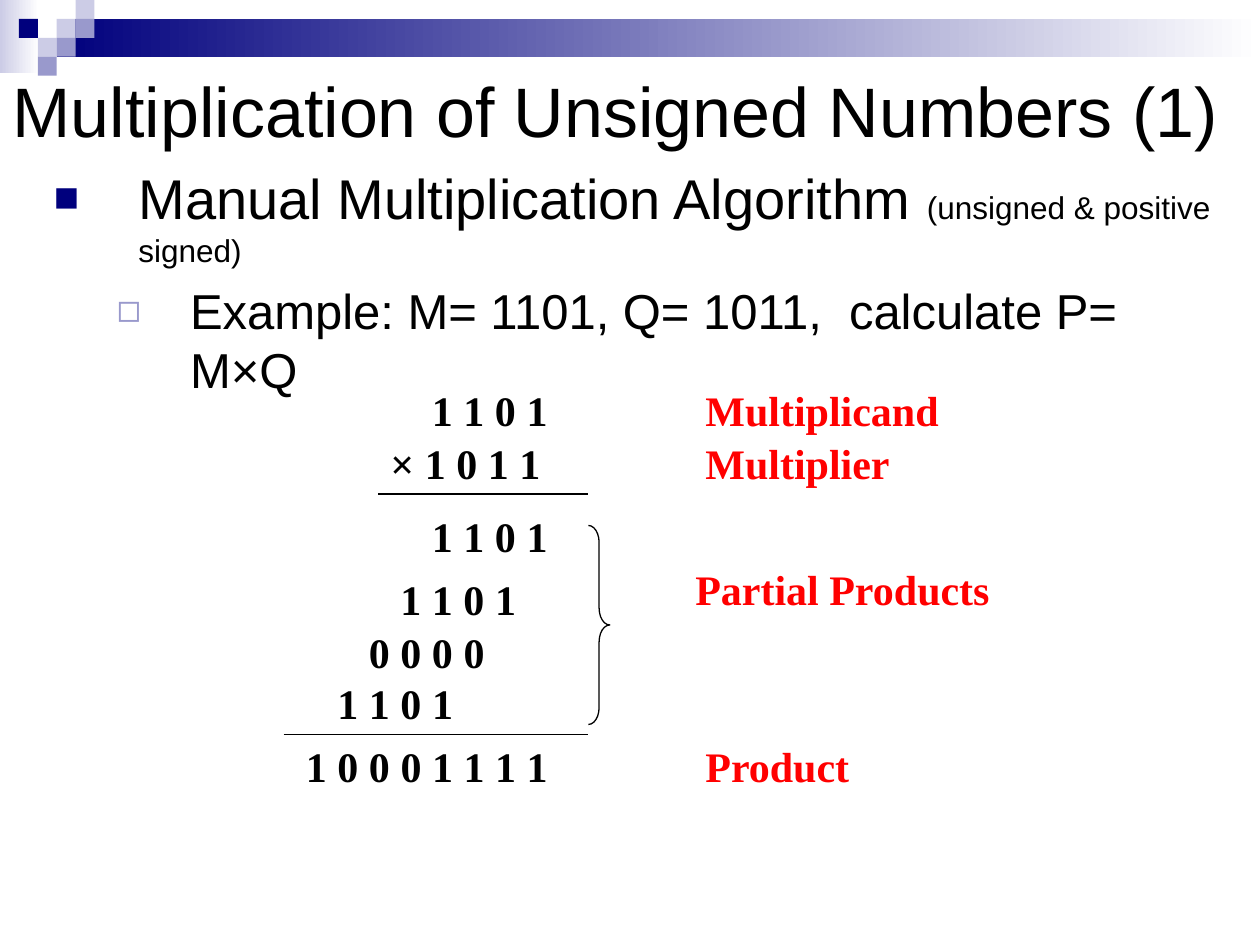
from lxml import etree
from pptx import Presentation
from pptx.dml.color import RGBColor
from pptx.enum.shapes import MSO_CONNECTOR, MSO_SHAPE
from pptx.enum.text import MSO_ANCHOR, PP_ALIGN
from pptx.oxml.ns import qn
from pptx.util import Inches, Pt

BLACK = RGBColor(0x00, 0x00, 0x00)
WHITE = RGBColor(0xFF, 0xFF, 0xFF)
RED = RGBColor(0xFF, 0x00, 0x00)
NAVY = RGBColor(0x00, 0x00, 0x7D)
LILAC = RGBColor(0x99, 0x99, 0xCC)
PALE = RGBColor(0xCC, 0xCC, 0xE6)

TILE = 0.15
DIGIT_PITCH = 0.25
ROW_HEIGHT = 0.5


def format_font(font, size, color=BLACK, name="Arial", bold=False):
    font.name, font.size, font.bold = name, Pt(size), bold
    font.color.rgb = color


def add_block(page, left, top, width, height, *colors):
    """Add a borderless rectangle, with a left-to-right gradient for two colours."""
    block = page.shapes.add_shape(
        MSO_SHAPE.RECTANGLE, Inches(left), Inches(top), Inches(width), Inches(height))
    block.shadow.inherit = False
    block.line.fill.background()
    if len(colors) == 1:
        block.fill.solid()
        block.fill.fore_color.rgb = colors[0]
        return
    block.fill.gradient()
    block.fill.gradient_angle = 0
    for stop, color in zip(block.fill.gradient_stops, colors):
        stop.color.rgb = color


def add_banner(page, left, top, width):
    add_block(page, left, top, 0.31, 0.58, PALE, WHITE)
    add_block(page, left + 3 * TILE, top + TILE, width - 3 * TILE, 2 * TILE, NAVY, WHITE)
    tiles = [(3, 1, PALE), (4, 0, PALE), (4, 1, LILAC), (2, 2, PALE),
             (1, 1, NAVY), (3, 2, LILAC), (2, 3, LILAC)]
    for column, row, color in tiles:
        add_block(page, left + column * TILE, top + row * TILE, TILE, TILE, color)


def add_title(page, left, top, width, height):
    title = page.shapes.title
    title.left, title.top = Inches(left), Inches(top)
    title.width, title.height = Inches(width), Inches(height)
    frame = title.text_frame
    frame.text = "Multiplication of Unsigned Numbers (1)"
    frame.vertical_anchor = MSO_ANCHOR.MIDDLE
    para = frame.paragraphs[0]
    para.alignment = PP_ALIGN.LEFT
    format_font(para.runs[0].font, 40)


def set_bullet(para, mark, color, percent, margin, hanging):
    properties = para._p.get_or_add_pPr()
    properties.set("marL", str(Inches(margin)))
    properties.set("indent", str(-Inches(hanging)))
    tint = etree.SubElement(properties, qn("a:buClr"))
    etree.SubElement(tint, qn("a:srgbClr"), val=str(color))
    etree.SubElement(properties, qn("a:buSzPct"), val=str(percent * 1000))
    etree.SubElement(properties, qn("a:buFont"), typeface="Arial")
    etree.SubElement(properties, qn("a:buChar"), char=mark)


def add_outline(page, left, top, width, height):
    box = page.shapes.add_textbox(Inches(left), Inches(top), Inches(width), Inches(height))
    frame = box.text_frame
    frame.word_wrap = True
    heading = frame.paragraphs[0]
    set_bullet(heading, "■", NAVY, 75, 0.67, 0.67)
    heading.text = "Manual Multiplication Algorithm "
    format_font(heading.runs[0].font, 32)
    remark = heading.add_run()
    remark.text = "(unsigned & positive signed)"
    format_font(remark.font, 18)

    example = frame.add_paragraph()
    set_bullet(example, "◻", LILAC, 80, 1.08, 0.58)
    example.text = "Example: M= 1101, Q= 1011,  calculate P= M×Q"
    example.space_before = Pt(7)
    format_font(example.runs[0].font, 28)


def add_entry(page, left, top, text, color=BLACK):
    box = page.shapes.add_textbox(
        Inches(left), Inches(top), Inches(2.75), Inches(ROW_HEIGHT))
    frame = box.text_frame
    frame.word_wrap = True
    frame.text = text
    format_font(frame.paragraphs[0].runs[0].font, 24, color, "Times New Roman", True)


def add_rule(page, left, right, top):
    rule = page.shapes.add_connector(
        MSO_CONNECTOR.STRAIGHT, Inches(left), Inches(top), Inches(right), Inches(top))
    rule.line.color.rgb = BLACK
    rule.line.width = Pt(0.75)
    etree.SubElement(rule._element.spPr, qn("a:effectLst"))


def add_brace(page, left, top, width, height):
    brace = page.shapes.add_shape(
        MSO_SHAPE.RIGHT_BRACE, Inches(left), Inches(top), Inches(width), Inches(height))
    brace.adjustments[0] = 0.79
    brace.shadow.inherit = False
    brace.fill.background()
    brace.line.color.rgb = BLACK
    brace.line.width = Pt(0.75)


def add_calculation(page, left, top):
    """Place the worked sum; left is where the eight-digit product starts."""
    units_left = left + 4 * DIGIT_PITCH
    right = left + 2.34
    label_left = left + 3.17

    # Offset from the top, digit places shifted left, digits
    rows = [(0, 0, "1 1 0 1"), (1, 0, "1 1 0 1"), (1.5, 1, "1 1 0 1"),
            (1.92, 2, "0 0 0 0"), (2.33, 3, "1 1 0 1"), (2.83, 4, "1 0 0 0 1 1 1 1")]
    for offset, shift, digits in rows:
        add_entry(page, units_left - shift * DIGIT_PITCH, top + offset, digits)
    add_entry(page, left + 0.67, top + 0.42, "× 1 0 1 1")

    labels = [(0, 0, "Multiplicand"), (0, 0.42, "Multiplier"),
              (-0.08, 1.42, "Partial Products"), (0, 2.83, "Product")]
    for nudge, offset, label in labels:
        add_entry(page, label_left + nudge, top + offset, label, RED)

    add_rule(page, left + 0.67, right, top + 0.92)
    add_rule(page, left - 0.08, right, top + 2.83)
    add_brace(page, right, top + 1.17, 0.17, 1.58)


def main():
    deck = Presentation()
    deck.slide_width, deck.slide_height = Inches(10), Inches(7.5)
    page = deck.slides.add_slide(deck.slide_layouts.get_by_name("Title Only"))
    add_banner(page, 0, 0, 10)
    add_title(page, 0, 0.33, 10, 1.08)
    add_outline(page, 0.33, 1.25, 9.42, 6)
    add_calculation(page, 2.33, 3)
    deck.save("out.pptx")


if __name__ == "__main__":
    main()
